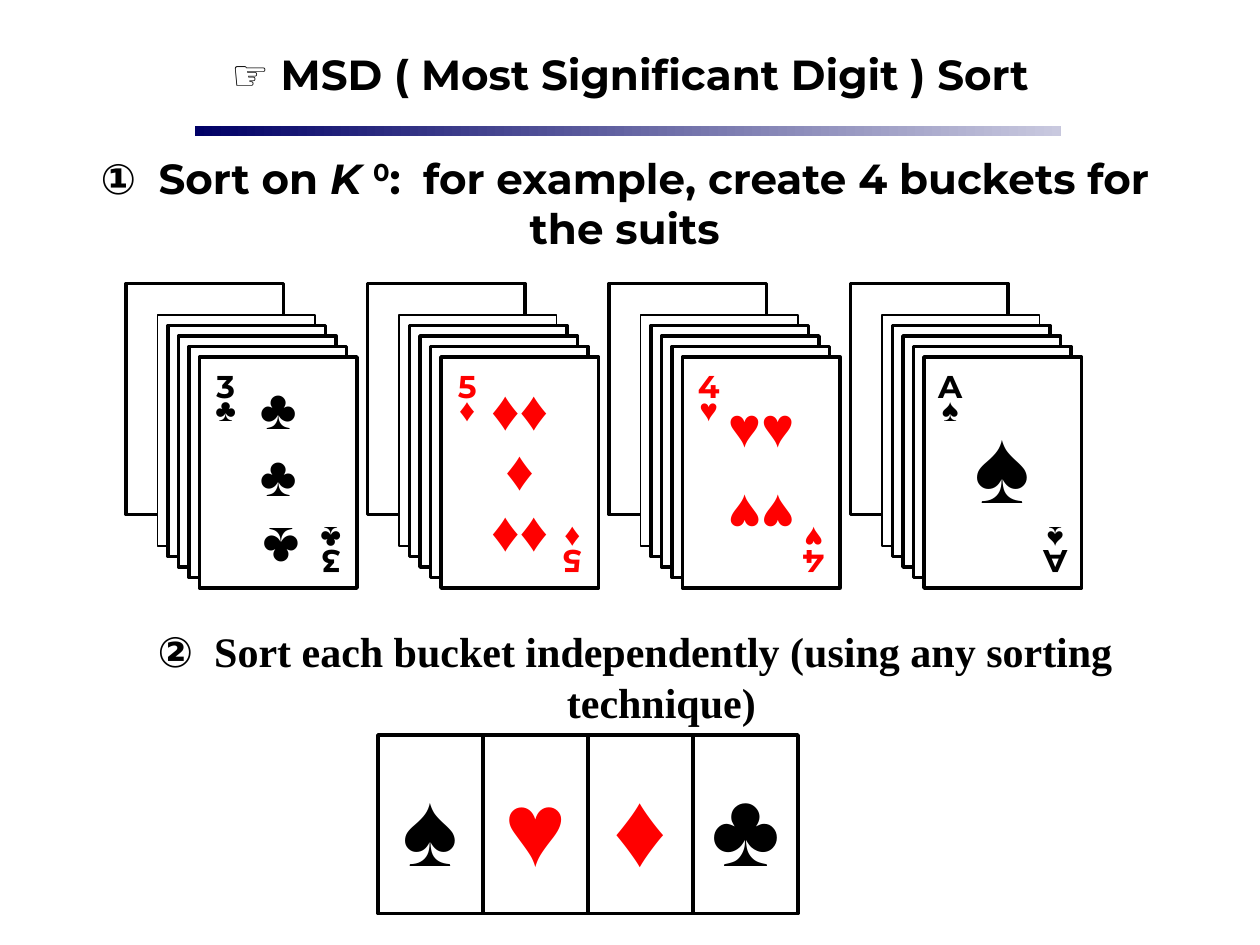
from pptx import Presentation
from pptx.dml.color import RGBColor
from pptx.enum.shapes import MSO_SHAPE
from pptx.enum.text import MSO_ANCHOR, MSO_AUTO_SIZE, PP_ALIGN
from pptx.util import Pt

COLORS = {
    "black": "000000",
    "red": "FF0000",
    "white": "FFFFFF",
    "rule_start": "000066",
    "rule_end": "C9C9DF",
}
SYMBOL_FONT = "Arial"
TEXT_FONT = "Montserrat"
STEP_FONT = "Times New Roman"

CARD_WIDTH, CARD_HEIGHT = 90, 132
SHEET_OFFSETS = [0, 18, 24, 30, 36, 42]
BUCKET_STEP = 138

BUCKETS = [
    ("3", "♣", "black", [
        ((21, 12, 48, 72), ["♣", "♣"], {}),
        ((24, 90, 45, 42), ["♣"], {"rotation": 180}),
    ]),
    ("5", "♦", "red", [
        ((21, 12, 48, 108), ["♦♦", "♦", "♦♦"], {"line_spacing": 0.9}),
    ]),
    ("4", "♥", "red", [
        ((21, 18, 48, 42), ["♥♥"], {}),
        ((21, 71, 48, 42), ["♥♥"], {"rotation": 180}),
    ]),
    ("A", "♠", "black", [
        ((21, 24, 48, 72), ["♠"], {"size": 60}),
    ]),
]
SORTED_SUITS = [("♠", "black"), ("♥", "red"), ("♦", "red"), ("♣", "black")]


def rgb(name):
    return RGBColor.from_string(COLORS[name])


def add_run(paragraph, text, font=TEXT_FONT, size=24, color="black",
            italic=False, baseline=0, spacing=0):
    run = paragraph.add_run()
    run.text = text
    run.font.name = font
    run.font.size = Pt(size)
    run.font.bold = True
    run.font.italic = italic
    run.font.color.rgb = rgb(color)
    properties = run.font._element
    if baseline:
        properties.set("baseline", str(baseline))
    if spacing:
        properties.set("spc", str(spacing * 100))


def set_frame(frame, side=0, anchor=MSO_ANCHOR.MIDDLE, wrap=False):
    frame.margin_left = frame.margin_right = Pt(side)
    frame.margin_top = frame.margin_bottom = Pt(3.6)
    frame.vertical_anchor = anchor
    frame.word_wrap = wrap
    frame.auto_size = MSO_AUTO_SIZE.NONE


def add_rectangle(shapes, box, line_width=2):
    shape = shapes.add_shape(MSO_SHAPE.RECTANGLE, *map(Pt, box))
    shape.shadow.inherit = False
    shape.fill.solid()
    shape.fill.fore_color.rgb = rgb("white")
    shape.line.color.rgb = rgb("black")
    shape.line.width = Pt(line_width)
    return shape


def add_symbols(shapes, box, lines, color, line_spacing=None, rotation=0, size=32):
    shape = shapes.add_textbox(*map(Pt, box))
    shape.rotation = rotation
    frame = shape.text_frame
    set_frame(frame)
    for index, text in enumerate(lines):
        paragraph = frame.paragraphs[0] if index == 0 else frame.add_paragraph()
        paragraph.alignment = PP_ALIGN.CENTER
        paragraph.line_spacing = line_spacing
        font = TEXT_FONT if text.isalnum() else SYMBOL_FONT
        add_run(paragraph, text, font=font, size=size, color=color)


def add_heading(shape, runs, side=0, hanging=0):
    frame = shape.text_frame
    set_frame(frame, side, MSO_ANCHOR.TOP, wrap=True)
    paragraph = frame.paragraphs[0]
    paragraph.alignment = PP_ALIGN.CENTER
    paragraph.space_before = Pt(15)
    if hanging:
        properties = paragraph._p.get_or_add_pPr()
        properties.set("marL", str(Pt(hanging)))
        properties.set("indent", str(-Pt(hanging)))
    for text, style in runs:
        add_run(paragraph, text, **style)


def add_title(slide, box):
    title = slide.shapes.title
    title.left, title.top, title.width, title.height = map(Pt, box)
    add_heading(title, [
        ("☞", {"font": SYMBOL_FONT}),
        (" MSD ( Most Significant Digit ) Sort", {}),
    ], side=7.2)


def add_title_rule(slide, box):
    rule = add_rectangle(slide.shapes, box)
    rule.line.fill.background()
    rule.fill.gradient()
    rule.fill.gradient_angle = 0
    for stop, color in zip(rule.fill.gradient_stops, ["rule_start", "rule_end"]):
        stop.color.rgb = rgb(color)


def add_step(slide, box, runs, hanging=0):
    add_heading(slide.shapes.add_textbox(*map(Pt, box)), runs, hanging=hanging)


def add_bucket(slide, left, top, rank, suit, color, pips):
    shapes = slide.shapes.add_group_shape().shapes
    for index, offset in enumerate(SHEET_OFFSETS):
        add_rectangle(shapes, (left + offset, top + offset, CARD_WIDTH, CARD_HEIGHT),
                      line_width=0.75 if index == 1 else 2)
    front_left, front_top = left + SHEET_OFFSETS[-1], top + SHEET_OFFSETS[-1]
    corner = {"line_spacing": 0.6, "size": 18}
    symbols = [
        ((0, 8.4, 30, 36), [rank, suit], corner),
        ((60, 90, 30, 36), [rank, suit], {**corner, "rotation": 180}),
        *pips,
    ]
    for (x, y, width, height), lines, style in symbols:
        add_symbols(shapes, (front_left + x, front_top + y, width, height),
                    lines, color, **style)


def add_sorted_suits(slide, left, top, width, height):
    card_width = width / len(SORTED_SUITS)
    for index, (suit, color) in enumerate(SORTED_SUITS):
        card = add_rectangle(slide.shapes,
                             (left + index * card_width, top, card_width, height))
        set_frame(card.text_frame)
        paragraph = card.text_frame.paragraphs[0]
        paragraph.alignment = PP_ALIGN.CENTER
        add_run(paragraph, suit, font=SYMBOL_FONT, size=60, color=color)


def main():
    presentation = Presentation()
    presentation.slide_width, presentation.slide_height = Pt(720), Pt(540)
    slide = presentation.slides.add_slide(presentation.slide_layouts[5])

    add_title_rule(slide, (111.6, 72, 494.6, 6))
    add_title(slide, (36, 24, 648, 36))
    add_step(slide, (42, 83.5, 630, 65), [
        ("①", {"font": SYMBOL_FONT}),
        (" ", {"spacing": 6}),
        ("Sort on ", {}),
        ("K ", {"italic": True}),
        ("0", {"baseline": 30000}),
        (":", {}),
        (" ", {"spacing": 6}),
        ("for example, create 4 buckets for the suits", {}),
    ])
    for index, bucket in enumerate(BUCKETS):
        add_bucket(slide, 72 + index * BUCKET_STEP, 162, *bucket)
    add_step(slide, (42, 354, 642, 65), [
        ("②", {"font": SYMBOL_FONT}),
        (" ", {"font": STEP_FONT, "spacing": 6}),
        ("Sort each bucket independently (using any sorting technique)",
         {"font": STEP_FONT}),
    ], hanging=30)
    add_sorted_suits(slide, 216, 420, 240, 102)
    presentation.save("out.pptx")


if __name__ == "__main__":
    main()
